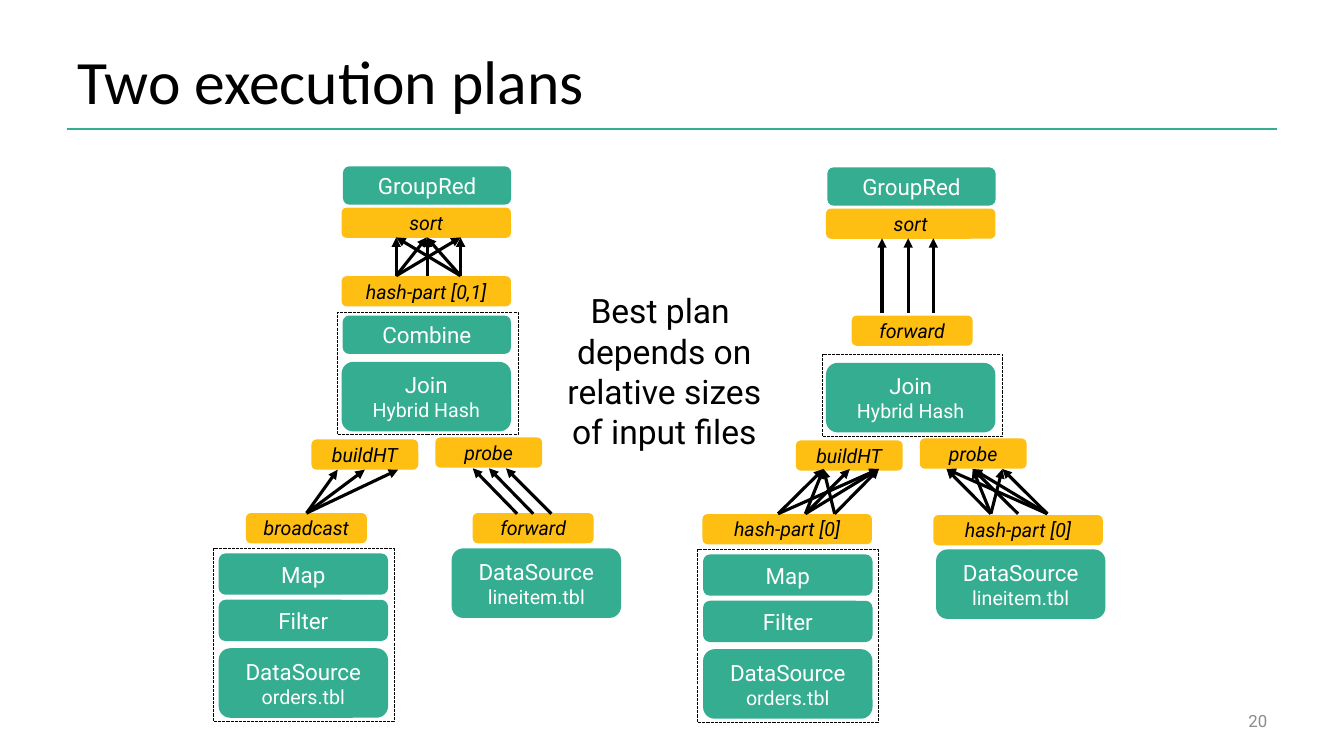
from lxml import etree
from pptx import Presentation
from pptx.dml.color import RGBColor
from pptx.enum.dml import MSO_LINE
from pptx.enum.shapes import MSO_CONNECTOR, MSO_SHAPE
from pptx.enum.text import MSO_ANCHOR, PP_ALIGN
from pptx.oxml.ns import qn
from pptx.util import Pt

GREEN, YELLOW, BLACK, WHITE, GRAY = "34AD91", "FEBE12", "000000", "FFFFFF", "8C8C8C"
rgb = RGBColor.from_string


def write(sp, text, size=14, color=BLACK, font="Roboto", italic=False,
          align=PP_ALIGN.CENTER, anchor=MSO_ANCHOR.MIDDLE, sub_size=None):
    """Fill a shape with one paragraph per line; sub_size applies after the first."""
    tf = sp.text_frame
    tf.word_wrap = True
    tf.vertical_anchor = anchor
    for i, line in enumerate(text.split("\n")):
        p = tf.add_paragraph() if i else tf.paragraphs[0]
        p.alignment = align
        r = p.add_run()
        r.text = line
        r.font.name = font
        r.font.size = Pt(sub_size if i and sub_size else size)
        r.font.italic = italic
        r.font.color.rgb = rgb(color)


def add_line(x1, y1, x2, y2, color=BLACK, width=2.25, arrow=True):
    c = s.shapes.add_connector(MSO_CONNECTOR.STRAIGHT, Pt(x1), Pt(y1), Pt(x2), Pt(y2))
    c.line.color.rgb = rgb(color)
    c.line.width = Pt(width)
    if arrow:
        etree.SubElement(c.line._get_or_add_ln(), qn("a:tailEnd"), type="triangle")
    etree.SubElement(c._element.spPr, qn("a:effectLst"))


prs = Presentation()
prs.slide_width, prs.slide_height = Pt(960), Pt(540)
s = prs.slides.add_slide(prs.slide_layouts[6])

# Title, rule, page number and central remark
add_line(48, 92.2, 912, 92.2, color=GREEN, width=2, arrow=False)
title = s.shapes.add_textbox(Pt(48), Pt(21.6), Pt(864), Pt(70.6))
write(title, "Two execution plans", size=44, font="Calibri", align=PP_ALIGN.LEFT)
number = s.shapes.add_textbox(Pt(688.3), Pt(500.4), Pt(224), Pt(28.8))
write(number, "20", size=12, color=GRAY, align=PP_ALIGN.RIGHT)
remark = s.shapes.add_textbox(Pt(388.8), Pt(203.8), Pt(171.4), Pt(123.8))
write(remark, "Best plan \ndepends on\nrelative sizes of input files",
      size=24, anchor=MSO_ANCHOR.TOP)

# Operators (green) and strategies (yellow): text, x, y, width, height
WIDE, TALL, THIN = 121, 49.7, 21.6
shared_operators = [
    ("DataSource\norders.tbl", 156.2, 463, WIDE, TALL),
    ("Filter", 156.2, 428.4, WIDE, 29.5),
    ("Map", 156.2, 395.3, WIDE, 29.5),
    ("DataSource\nlineitem.tbl", 322.6, 391.7, WIDE, TALL),
    ("Join\nHybrid Hash", 244, 258.5, WIDE, TALL),
    ("GroupRed", 245, 118.8, 120.2, 27.4),
]
shared_strategies = [
    ("buildHT", 222.5, 313.9, 76.3, THIN),
    ("probe", 311, 312.5, 76.3, THIN),
    ("sort", 244, 148.3, WIDE, THIN),
]
PLAN_DX, PLAN_DY = 346, 0.7
operators = [("Combine", 244.8, 225.4, 120.2, 27.4)]
strategies = [
    ("broadcast", 175.7, 366.5, 86.4, THIN),
    ("forward", 337.7, 366.5, 86.4, THIN),
    ("hash-part [0,1]", 244, 197.3, WIDE, THIN),
    ("hash-part [0]", 501.8, 367.2, WIDE, THIN),
    ("hash-part [0]", 666.7, 367.9, WIDE, THIN),
    ("forward", 608.4, 225.4, 86.4, THIN),
]
for dx, dy in ((0, 0), (PLAN_DX, PLAN_DY)):
    for shared, blocks in ((shared_operators, operators), (shared_strategies, strategies)):
        blocks += [(text, x + dx, y + dy, w, h) for text, x, y, w, h in shared]

for blocks, fill, style in (
    (operators, GREEN, dict(size=16, sub_size=14, color=WHITE)),
    (strategies, YELLOW, dict(italic=True)),
):
    for text, x, y, w, h in blocks:
        sp = s.shapes.add_shape(MSO_SHAPE.ROUNDED_RECTANGLE, Pt(x), Pt(y), Pt(w), Pt(h))
        sp.shadow.inherit = False
        sp.fill.solid()
        sp.fill.fore_color.rgb = rgb(fill)
        sp.line.fill.background()
        write(sp, text, **style)

# Dashed frames around chained operators: x, y, height
for x, y, h in ((152.6, 392.1, 123.1), (241.2, 223.2, 87.1),
                (498.4, 392.8, 123.1), (587.5, 253.4, 58.3)):
    frame = s.shapes.add_shape(MSO_SHAPE.RECTANGLE, Pt(x), Pt(y), Pt(128.9), Pt(h))
    frame.shadow.inherit = False
    frame.fill.background()
    frame.line.color.rgb = rgb(BLACK)
    frame.line.width = Pt(0.75)
    frame.line.dash_style = MSO_LINE.SQUARE_DOT

# Data flows: bottom y, top y, {start x: end xs}
flows = [
    (366.5, 335.5, {219: [241.2, 260.6, 284.4]}),
    (367, 334.5, {369.4: [337.7], 380.9: [349.2], 393.8: [361.4]}),
    (197, 169.6, {283: [283, 304.8, 329], 305.3: [305.3], 329: [329, 283, 304.8]}),
    (223.6, 170.2, {630: [630], 648.7: [648.7], 666.7: [666.7]}),
    (367, 335, {555.8: [588.2, 627.8], 575.3: [588.2, 607, 627.8],
                596.2: [588.2, 627.8]}),
    (367, 335, {707.8: [676.1, 694.8, 716], 727.2: [694.8],
                748.1: [676.1, 694.8, 716]}),
]
for bottom, top, links in flows:
    for start, ends in links.items():
        for end in ends:
            add_line(start, bottom, end, top)

prs.save("out.pptx")
